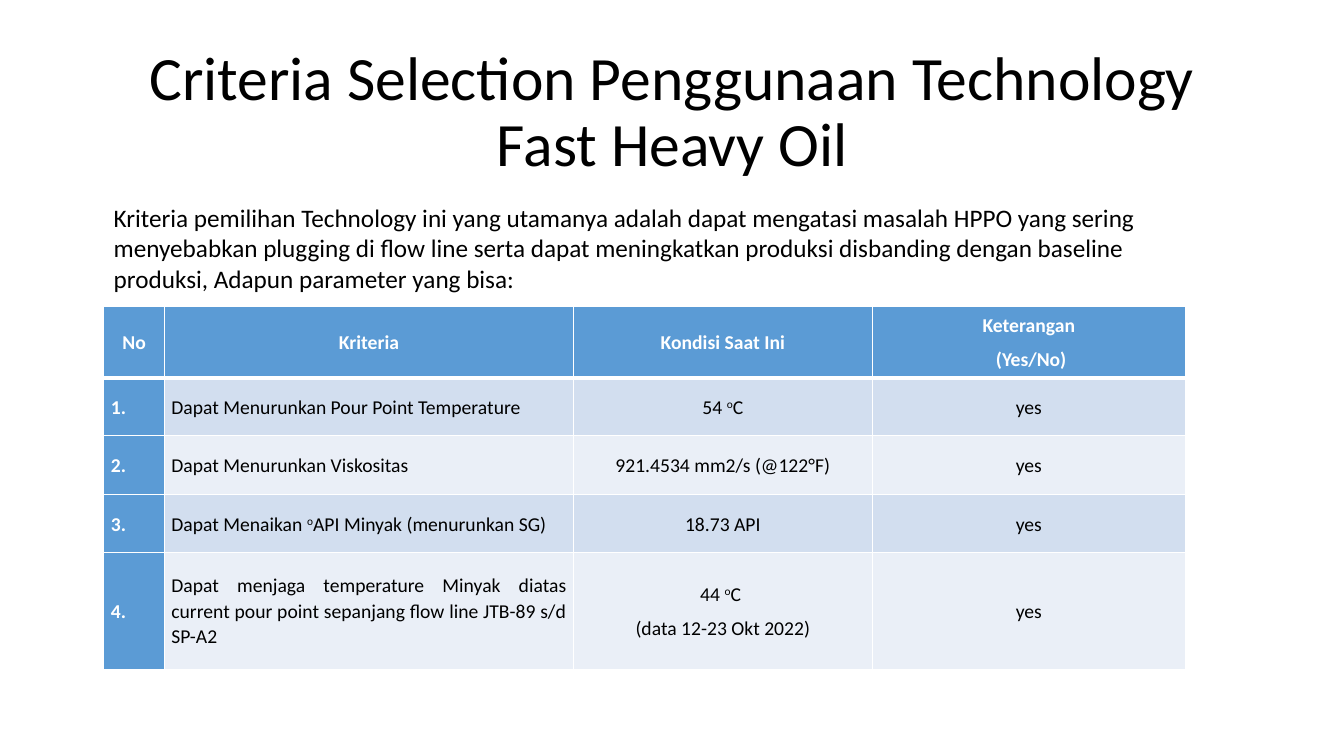
from lxml import etree
from pptx import Presentation
from pptx.dml.color import RGBColor
from pptx.enum.text import MSO_ANCHOR, PP_ALIGN
from pptx.oxml.ns import qn
from pptx.util import Pt

PX = 9144
FONT = "Calibri"
MIDDLE = MSO_ANCHOR.MIDDLE
TOP = MSO_ANCHOR.TOP
LEFT = PP_ALIGN.LEFT
CENTER = PP_ALIGN.CENTER
JUSTIFY = PP_ALIGN.JUSTIFY

BLACK = RGBColor(0x00, 0x00, 0x00)
WHITE = RGBColor(0xFF, 0xFF, 0xFF)
BLUE = RGBColor(0x5B, 0x9B, 0xD5)
BANDS = (RGBColor(0xD2, 0xDE, 0xEF), RGBColor(0xEA, 0xEF, 0xF7))

TITLE = "Criteria Selection Penggunaan Technology Fast Heavy Oil"
INTRO = (
    "Kriteria pemilihan Technology ini yang utamanya adalah dapat mengatasi "
    "masalah HPPO yang sering menyebabkan plugging di flow line serta dapat "
    "meningkatkan produksi disbanding dengan baseline produksi, "
    "Adapun parameter yang bisa:"
)
SUPERSCRIPT_MARK = "^"
CRITERIA = (
    ("No", "Kriteria", "Kondisi Saat Ini", "Keterangan\n (Yes/No)"),
    ("1.", "Dapat Menurunkan Pour Point Temperature", "54 ^o^C", "yes"),
    ("2.", "Dapat Menurunkan Viskositas", "921.4534 mm2/s (@122°F)", "yes"),
    ("3.", "Dapat Menaikan ^o^API Minyak (menurunkan SG)", "18.73 API", "yes"),
    (
        "4.",
        "Dapat menjaga temperature Minyak diatas current pour point "
        "sepanjang flow line JTB-89 s/d SP-A2",
        "44 ^o^C \n(data 12-23 Okt 2022)",
        "yes",
    ),
)
COLUMN_WIDTHS = (60, 406, 296, 311)
ROW_HEIGHTS = (71, 57, 59, 57, 116)


def style_run(run, size, color, bold=False):
    run.font.name = FONT
    run.font.size = Pt(size)
    run.font.bold = bold
    run.font.color.rgb = color


def add_text(slide, box, text, size, align, anchor, line_spacing):
    frame = slide.shapes.add_textbox(*(v * PX for v in box)).text_frame
    frame.word_wrap = True
    frame.vertical_anchor = anchor
    frame.text = text
    paragraph = frame.paragraphs[0]
    paragraph.alignment = align
    paragraph.line_spacing = line_spacing
    style_run(paragraph.runs[0], size, BLACK)


def set_borders(cell, widths):
    properties = cell._tc.get_or_add_tcPr()
    for position, (side, width) in enumerate(widths.items()):
        line = etree.Element(qn(f"a:ln{side}"), w=str(Pt(width)))
        fill = etree.SubElement(line, qn("a:solidFill"))
        etree.SubElement(fill, qn("a:srgbClr"), val=str(WHITE))
        properties.insert(position, line)


def fill_cell(cell, text, align, color, bold):
    cell.vertical_anchor = MIDDLE
    cell.margin_left = cell.margin_right = 7 * PX
    cell.margin_top = cell.margin_bottom = 0
    frame = cell.text_frame
    for index, line in enumerate(text.split("\n")):
        paragraph = frame.add_paragraph() if index else frame.paragraphs[0]
        paragraph.alignment = align
        paragraph.line_spacing = 1.07
        paragraph.space_before = Pt(6)
        for part, piece in enumerate(line.split(SUPERSCRIPT_MARK)):
            run = paragraph.add_run()
            run.text = piece
            style_run(run, 14, color, bold)
            if part % 2:
                run._r.get_or_add_rPr().set("baseline", "30000")


def add_criteria_table(slide, box):
    table = slide.shapes.add_table(
        len(CRITERIA), len(COLUMN_WIDTHS), *(v * PX for v in box)
    ).table
    for column, width in zip(table.columns, COLUMN_WIDTHS):
        column.width = width * PX
    for row, height in zip(table.rows, ROW_HEIGHTS):
        row.height = height * PX
    for r, criterion in enumerate(CRITERIA):
        for c, text in enumerate(criterion):
            cell = table.cell(r, c)
            heading = r == 0 or c == 0
            align = JUSTIFY if r > 0 and c < 2 else CENTER
            fill_cell(cell, text, align, WHITE if heading else BLACK, heading)
            cell.fill.solid()
            cell.fill.fore_color.rgb = BLUE if heading else BANDS[(r - 1) % 2]
            top = 3 if r == 1 else 1
            bottom = 3 if r == 0 else 1
            set_borders(cell, {"L": 1, "R": 1, "T": top, "B": bottom})


def build_criteria_slide(presentation, box):
    slide = presentation.slides.add_slide(presentation.slide_layouts[6])
    left, top, width, height = box
    add_text(slide, (left, top, width, 145), TITLE, 44, CENTER, MIDDLE, 0.9)
    body_left, body_width = left + 11, sum(COLUMN_WIDTHS)
    table_height = sum(ROW_HEIGHTS)
    table_top = top + height - table_height
    add_criteria_table(slide, (body_left, table_top, body_width, table_height))
    intro_box = (body_left, table_top - 108, body_width, 131)
    add_text(slide, intro_box, INTRO, 18, LEFT, TOP, 1.0)


def main():
    presentation = Presentation()
    presentation.slide_width = 1333 * PX
    presentation.slide_height = 750 * PX
    build_criteria_slide(presentation, (92, 40, 1150, 624))
    presentation.save("out.pptx")


if __name__ == "__main__":
    main()
